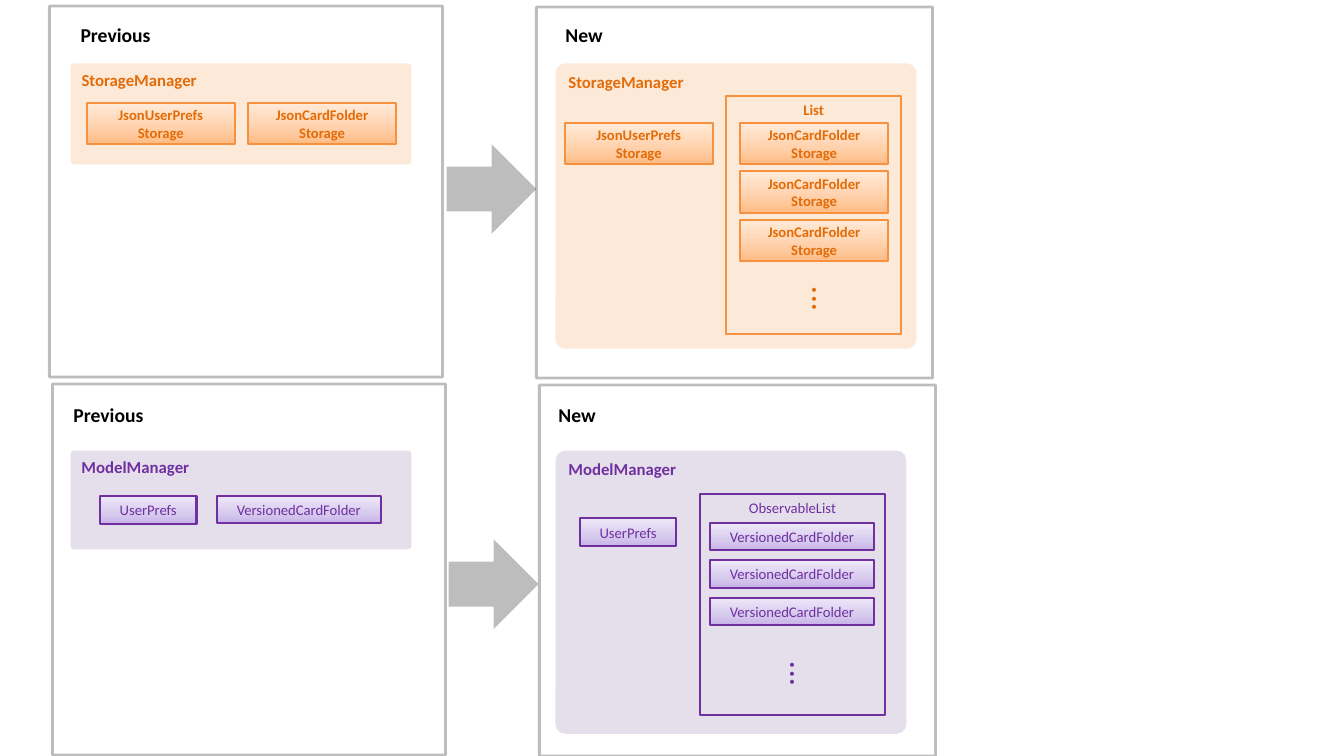
from copy import deepcopy
from dataclasses import dataclass

from lxml.etree import SubElement
from pptx import Presentation
from pptx.dml.color import RGBColor
from pptx.enum.shapes import MSO_SHAPE as Kind
from pptx.enum.text import MSO_ANCHOR as Anchor, MSO_AUTO_SIZE as Fit, PP_ALIGN as Align
from pptx.oxml.ns import qn
from pptx.util import Inches, Pt

Rect = tuple[float, float, float, float]
FONT = "Calibri"
BLACK = "000000"


@dataclass
class Theme:
    text: str
    edge: str
    pale: str
    stops: tuple[str, str, str]
    bold: bool


@dataclass
class Group:
    """One manager, shown before and after the change."""
    theme: Theme
    name: str
    prefs: str
    folder: str
    frames: tuple[Rect, Rect]
    titles: tuple[Rect, Rect]
    panels: tuple[Rect, Rect]
    arrow: Rect
    singles: tuple[Rect, Rect]  # the prefs box in each state
    old: Rect  # the only folder box of the old state
    label: str
    list_at: Rect
    first: Rect
    step: float
    dots: Rect


ORANGE = Theme("E36C09", "F5913F", "FDE9D8", ("FFBB82", "FFCFA8", "FFEBD9"), True)
PURPLE = Theme("7030A0", "7030A0", "E5DFEC", ("C8B2E9", "D6CAED", "EFE8FA"), False)

GROUPS = [
    Group(ORANGE, "StorageManager", "JsonUserPrefs\nStorage", "JsonCardFolder\nStorage",
          frames=((0.49, 0.06, 3.9, 3.68), (5.32, 0.07, 3.93, 3.68)),
          titles=((0.7, 0.18, 2.49, 0.34), (5.51, 0.18, 2.49, 0.34)),
          panels=((0.7, 0.63, 3.38, 1), (5.51, 0.63, 3.58, 2.83)),
          arrow=(4.43, 1.43, 0.89, 0.89),
          singles=((0.86, 1.02, 1.47, 0.41), (5.6, 1.22, 1.47, 0.41)),
          old=(2.46, 1.02, 1.47, 0.41),
          label="List", list_at=(7.2, 0.95, 1.74, 2.36),
          first=(7.34, 1.22, 1.47, 0.41), step=0.48, dots=(7.82, 2.63, 0.52, 0.74)),
    Group(PURPLE, "ModelManager", "UserPrefs", "VersionedCardFolder",
          frames=((0.52, 3.81, 3.9, 3.68), (5.35, 3.82, 3.93, 3.68)),
          titles=((0.63, 3.95, 2.49, 0.34), (5.44, 3.95, 2.49, 0.34)),
          panels=((0.7, 4.47, 3.38, 0.98), (5.51, 4.47, 3.48, 2.81)),
          arrow=(4.45, 5.35, 0.89, 0.89),
          singles=((0.99, 4.92, 0.96, 0.28), (5.75, 5.14, 0.96, 0.28)),
          old=(2.15, 4.92, 1.63, 0.27),
          label="ObservableList", list_at=(6.94, 4.9, 1.84, 2.19),
          first=(7.04, 5.19, 1.63, 0.27), step=0.37, dots=(7.6, 6.35, 0.52, 0.74)),
]

deck = Presentation()
deck.slide_width, deck.slide_height = Inches(13.33), Inches(7.5)
slide = deck.slides.add_slide(deck.slide_layouts[6])


def rgb(code: str) -> RGBColor:
    return RGBColor.from_string(code)


def write(shape, text: str, size: float, color: str, bold: bool,
          align=Align.LEFT, anchor=Anchor.TOP) -> None:
    frame = shape.text_frame
    frame.word_wrap = True
    frame.vertical_anchor = anchor
    para = frame.paragraphs[0]
    para.text = text
    para.alignment = align
    look = {"name": FONT, "size": Pt(size), "bold": bold}
    for run in para.runs:
        for key, val in look.items():
            setattr(run.font, key, val)
        run.font.color.rgb = rgb(color)


def draw(kind: Kind, at: Rect, fill: str = "", edge: str = "", width: float = 1.5):
    shape = slide.shapes.add_shape(kind, *map(Inches, at))
    shape.shadow.inherit = False
    for part, color in ((shape.fill, fill), (shape.line.fill, edge)):
        if color:
            part.solid()
            part.fore_color.rgb = rgb(color)
        else:
            part.background()
    if edge:
        shape.line.width = Pt(width)
    return shape


def fade(shape, share: int) -> None:
    """Make every solid colour of the shape see-through."""
    for tint in shape.element.spPr.iter(qn("a:srgbClr")):
        SubElement(tint, qn("a:alpha")).set("val", str(share * 1000))


def blend(shape, colors: tuple[str, str, str]) -> None:
    """Fill with a three-stop gradient that runs upward."""
    fill = shape.fill
    fill.gradient()
    fill.gradient_angle = 90
    stops = next(shape.element.spPr.iter(qn("a:gsLst")))
    stops.append(deepcopy(stops[0]))
    for stop, color, place in zip(fill.gradient_stops, colors, (0, 0.35, 1)):
        stop.color.rgb = rgb(color)
        stop.position = place


def add_text(at: Rect, text: str, size: float, color: str, bold: bool, align=Align.LEFT):
    box = slide.shapes.add_textbox(*map(Inches, at))
    write(box, text, size, color, bold, align)
    return box


def add_item(theme: Theme, at: Rect, text: str) -> None:
    item = draw(Kind.RECTANGLE, at, edge=theme.edge)
    blend(item, theme.stops)
    write(item, text, 10.5, theme.text, theme.bold, Align.CENTER, Anchor.MIDDLE)


def add_group(group: Group) -> None:
    theme = group.theme
    states = zip(("Previous", "New"), group.frames, group.titles, group.panels, group.singles)
    for title, frame, head, panel, single in states:
        fade(draw(Kind.RECTANGLE, frame, edge=BLACK, width=2), 25)
        add_text(head, title, 14, BLACK, True).text_frame.auto_size = Fit.SHAPE_TO_FIT_TEXT
        base = draw(Kind.ROUNDED_RECTANGLE, panel, theme.pale)
        base.adjustments[0] = 0.035
        write(base, group.name, 12, theme.text, True)
        add_item(theme, single, group.prefs)
    fade(draw(Kind.RIGHT_ARROW, group.arrow, BLACK), 26)
    add_item(theme, group.old, group.folder)

    holder = draw(Kind.RECTANGLE, group.list_at, edge=theme.edge)
    write(holder, group.label, 10.5, theme.text, theme.bold, Align.CENTER)
    left, top, wide, high = group.first
    for row in range(3):
        add_item(theme, (left, top + row * group.step, wide, high), group.folder)
    add_text(group.dots, "...", 24, theme.text, False, Align.RIGHT).rotation = 270


def main() -> None:
    for group in GROUPS:
        add_group(group)
    deck.save("out.pptx")


if __name__ == "__main__":
    main()
